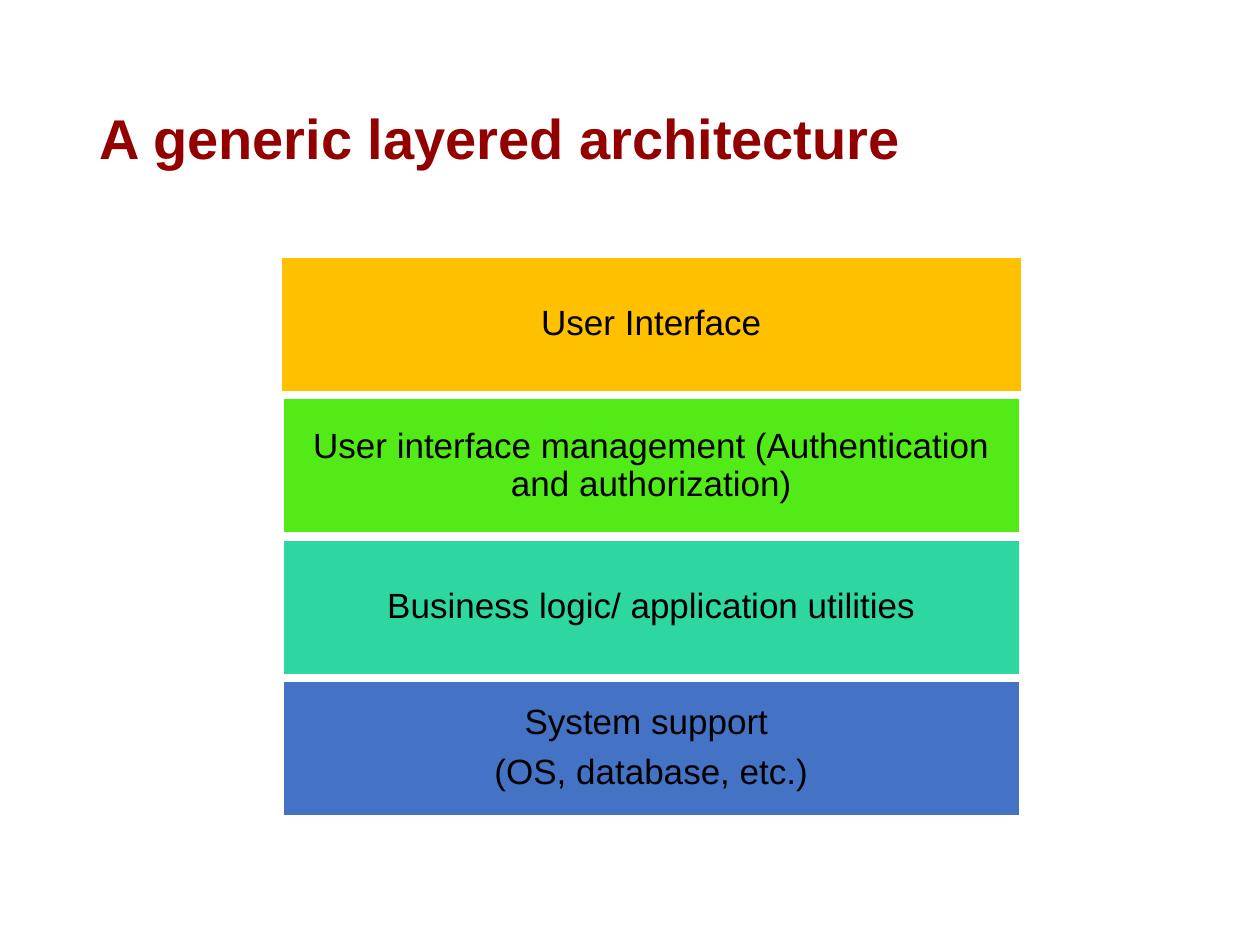
from dataclasses import dataclass

from pptx import Presentation
from pptx.dml.color import RGBColor
from pptx.enum.shapes import MSO_SHAPE
from pptx.enum.text import MSO_ANCHOR, PP_ALIGN
from pptx.slide import Slide
from pptx.text.text import TextFrame
from pptx.util import Cm, Pt

FONT = "Arial"
CENTER_X = 13.13
TOP = 5.18
PITCH = 2.85
HEIGHT = 2.72
INSET = 0.15


@dataclass
class Layer:
    lines: list[str]
    fill: str
    width: float = 14.86


LAYERS = [
    Layer(["User Interface"], "FFC000", 14.94),
    Layer(["User interface management (Authentication and authorization)"], "53EB17"),
    Layer(["Business logic/ application utilities"], "2ED7A1"),
    Layer(["System support ", "(OS, database, etc.)"], "4472C4"),
]


def color(value: str) -> RGBColor:
    return RGBColor.from_string(value)


def write(tf: TextFrame, lines: list[str], size: int, hex_color: str,
          align: PP_ALIGN, after: float = 0, bold: bool = False) -> None:
    tf.word_wrap = True
    tf.vertical_anchor = MSO_ANCHOR.MIDDLE
    for i, line in enumerate(lines):
        p = tf.add_paragraph() if i else tf.paragraphs[0]
        p.text = line
        p.alignment = align
        p.line_spacing = 0.9
        p.space_after = Pt(after)
        p.font.name = FONT
        p.font.size = Pt(size)
        p.font.bold = bold
        p.font.color.rgb = color(hex_color)


def draw_title(s: Slide, text: str) -> None:
    sp = s.shapes.add_textbox(Cm(1.75), Cm(1.02), Cm(21.9), Cm(3.68))
    write(sp.text_frame, [text], 32, "920000", PP_ALIGN.LEFT, bold=True)


def draw_layer(s: Slide, layer: Layer, index: int) -> None:
    sp = s.shapes.add_shape(
        MSO_SHAPE.RECTANGLE, Cm(CENTER_X - layer.width / 2), Cm(TOP + index * PITCH),
        Cm(layer.width), Cm(HEIGHT))
    sp.shadow.inherit = False
    sp.fill.solid()
    sp.fill.fore_color.rgb = color(layer.fill)
    sp.line.color.rgb = color("FFFFFF")
    sp.line.width = Pt(1)
    tf = sp.text_frame
    tf.margin_left = tf.margin_right = tf.margin_top = tf.margin_bottom = Cm(INSET)
    write(tf, layer.lines, 20, "000000", PP_ALIGN.CENTER, after=7)


def main() -> None:
    prs = Presentation()
    prs.slide_width, prs.slide_height = Cm(25.4), Cm(19.05)
    s = prs.slides.add_slide(prs.slide_layouts[6])
    draw_title(s, "A generic layered architecture")
    for index, layer in enumerate(LAYERS):
        draw_layer(s, layer, index)
    prs.save("out.pptx")


if __name__ == "__main__":
    main()
